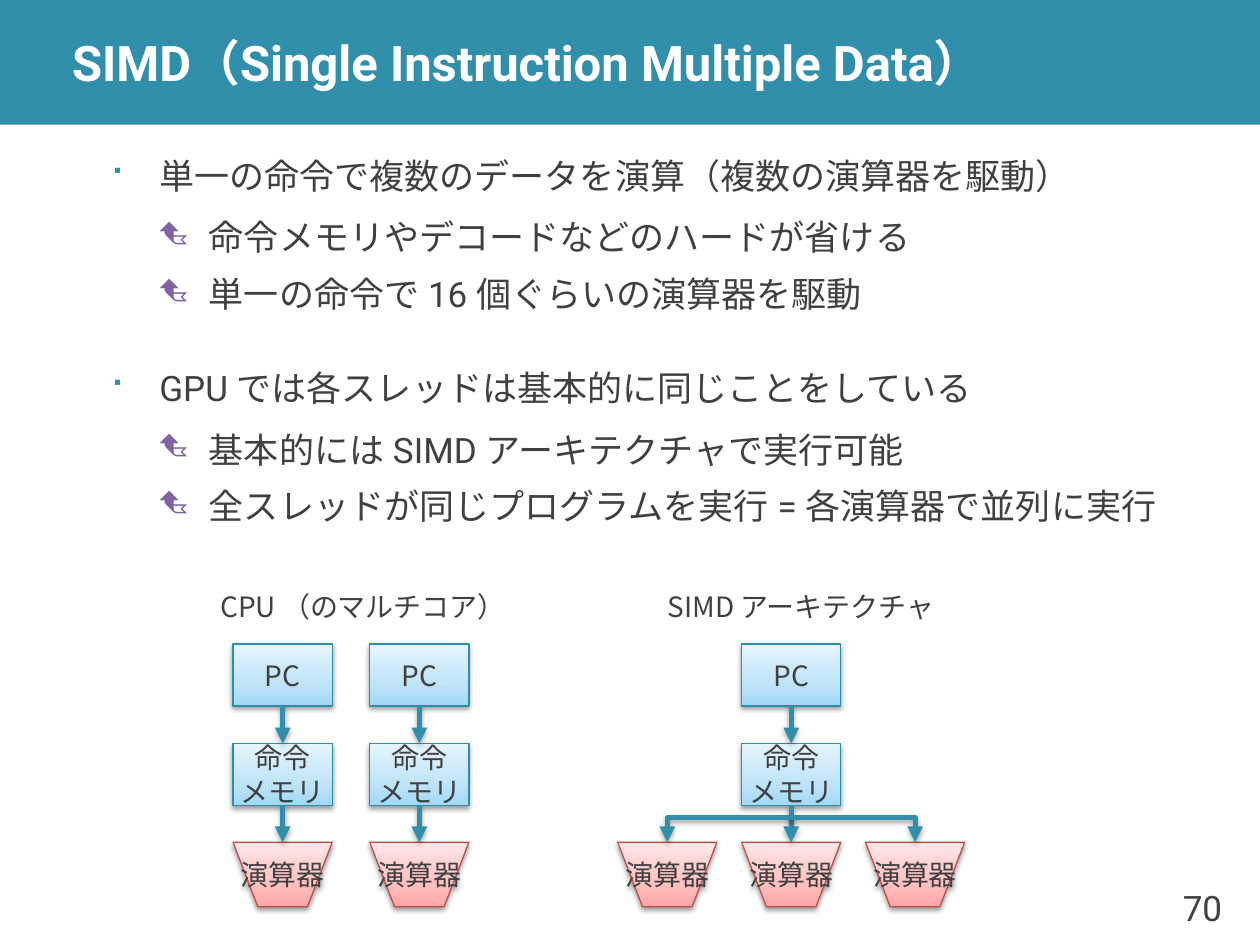
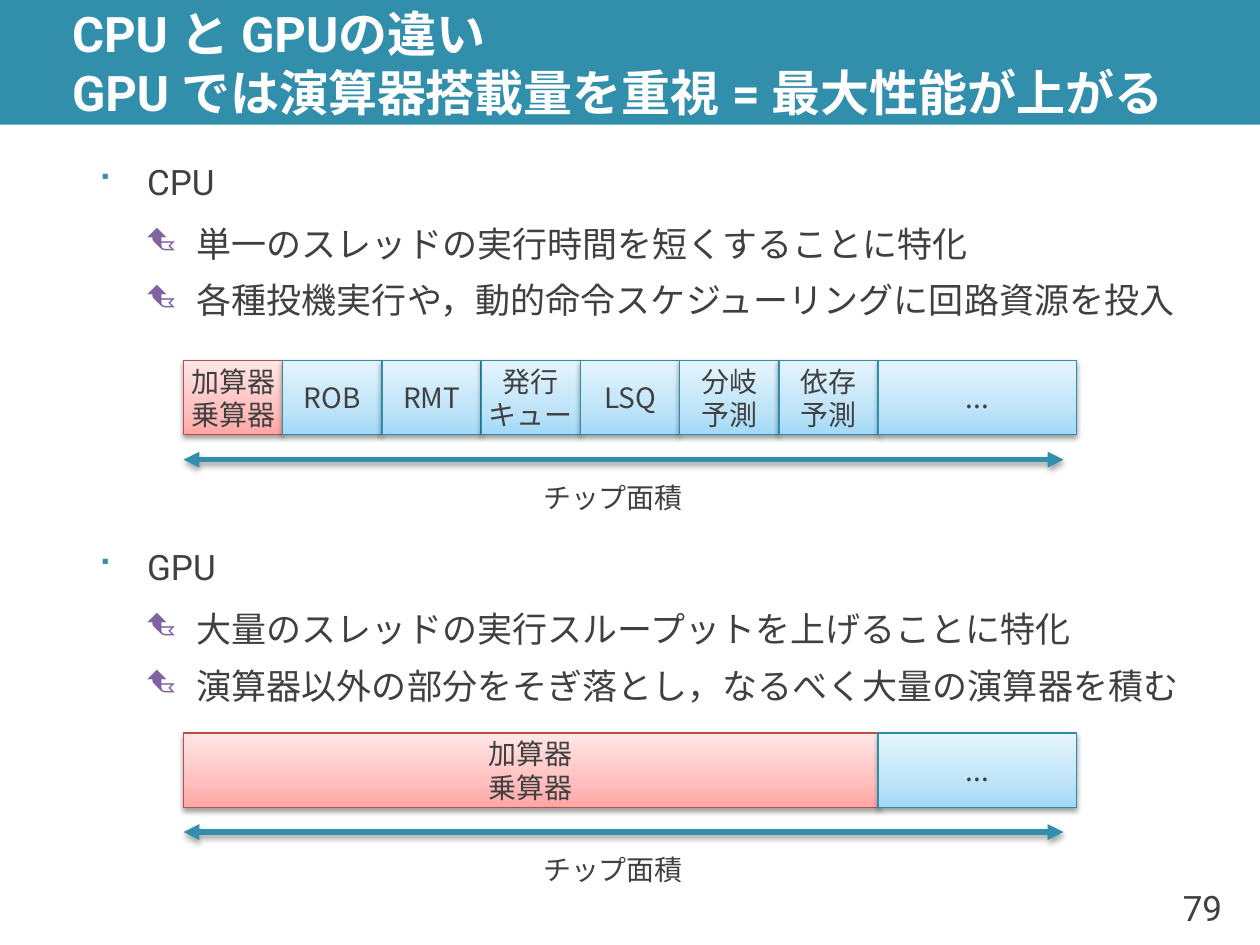
import pptx
import pptx.util
import pptx.dml.color
import pptx.enum.shapes
import pptx.enum.text
import pptx.oxml
import pptx.oxml.ns

Pt = pptx.util.Pt
RGB = pptx.dml.color.RGBColor.from_string
SHAPE = pptx.enum.shapes.MSO_SHAPE
STRAIGHT = pptx.enum.shapes.MSO_CONNECTOR.STRAIGHT
ALIGN = pptx.enum.text.PP_ALIGN
ANCHOR = pptx.enum.text.MSO_ANCHOR
NS = pptx.oxml.ns.nsdecls("a")

THEME = {
    "accent": "328FAC",
    "east_asian": "Roboto",
    "title": {"size": Pt(28), "name": "Roboto", "bold": True, "color": "FFFFFF"},
    "body": {"size": Pt(20), "name": "Roboto", "bold": False, "color": "404040"},
    "label": {"size": Pt(16), "name": "Noto Sans CJK JP", "bold": False, "color": "404040"},
    "blue": {"line": "2E8DAB", "stops": [(0, "A2D9F7"), (35, "BFE4F8"), (100, "E6F5FD")]},
    "red": {"line": "BF4C48", "stops": [(0, "FFA6A5"), (35, "FFC0BF"), (100, "FFE7E7")]},
}
LEVELS = [
    {"before": 24, "after": 6, "indent": 28.35, "bullet": "■", "color": THEME["accent"], "pct": 100},
    {"before": 3, "after": 3, "indent": 56.7, "bullet": "◇", "color": "8064A2", "pct": 90},
]
UNIT = 56.7


def put_text(sp, lines, font, align=ALIGN.LEFT, anchor=ANCHOR.MIDDLE, **frame):
    tf = sp.text_frame
    frame = {"word_wrap": True, "auto_size": pptx.enum.text.MSO_AUTO_SIZE.NONE,
             "vertical_anchor": anchor, **frame}
    for name, value in frame.items():
        setattr(tf, name, value)
    tf.text = "\n".join(lines)
    for p in tf.paragraphs:
        p.alignment = align
        for r in p.runs:
            for name in ("size", "name", "bold"):
                setattr(r.font, name, font[name])
            r.font.color.rgb = RGB(font["color"])
            r.font.language_id = pptx.enum.lang.MSO_LANGUAGE_ID.JAPANESE
            r.font._element.find(pptx.oxml.ns.qn("a:latin")).addnext(
                pptx.oxml.parse_xml(f'<a:ea {NS} typeface="{THEME["east_asian"]}"/>'))


def decorate(sp, color, width, stops=(), arrows=()):
    sp.line.color.rgb = RGB(color)
    sp.line.width = Pt(width)
    for end in arrows:
        sp.line._get_or_add_ln().append(
            pptx.oxml.parse_xml(f'<a:{end} {NS} type="triangle"/>'))
    if stops:
        sp.fill.background()
        gs = "".join(f'<a:gs pos="{pos * 1000}"><a:srgbClr val="{c}"/></a:gs>' for pos, c in stops)
        no_fill = sp._element.spPr.find(pptx.oxml.ns.qn("a:noFill"))
        no_fill.getparent().replace(no_fill, pptx.oxml.parse_xml(
            f'<a:gradFill {NS} rotWithShape="1"><a:gsLst>{gs}</a:gsLst>'
            '<a:lin ang="16200000" scaled="0"/></a:gradFill>'))
    alpha = 38 if stops else 35
    sp._element.spPr.append(pptx.oxml.parse_xml(
        f'<a:effectLst {NS}><a:outerShdw blurRad="{Pt(3.1)}" dist="{Pt(1.7)}" dir="5400000" '
        f'rotWithShape="0"><a:srgbClr val="000000"><a:alpha val="{alpha * 1000}"/>'
        '</a:srgbClr></a:outerShdw></a:effectLst>'))


prs = pptx.Presentation()
prs.slide_width, prs.slide_height = Pt(720), Pt(540)
layout = prs.slide_layouts[1]

pages = [
    {"number": "70", "title": "SIMD（Single Instruction Multiple Data）",
     "body_at": (55.5, 82, 652, 230), "section_gap": 24,
     "body": [(0, "単一の命令で複数のデータを演算（複数の演算器を駆動）"),
              (1, "命令メモリやデコードなどのハードが省ける"),
              (1, "単一の命令で 16 個ぐらいの演算器を駆動"),
              (0, "GPU では各スレッドは基本的に同じことをしている"),
              (1, "基本的には SIMD アーキテクチャで実行可能"),
              (1, "全スレッドが同じプログラムを実行 = 各演算器で並列に実行")]},
    {"number": "79", "title": "CPU と GPUの違い\vGPU では演算器搭載量を重視 = 最大性能が上がる",
     "body_at": (48.5, 85.5, 652, 411), "section_gap": 123,
     "body": [(0, "CPU"),
              (1, "単一のスレッドの実行時間を短くすることに特化"),
              (1, "各種投機実行や，動的命令スケジューリングに回路資源を投入"),
              (0, "GPU"),
              (1, "大量のスレッドの実行スループットを上げることに特化"),
              (1, "演算器以外の部分をそぎ落とし，なるべく大量の演算器を積む")]},
]

slides = []
for page in pages:
    slide = prs.slides.add_slide(layout)
    slides.append(slide)
    title, body = slide.placeholders
    for sp, box in ((title, (34, 0, 686, 71)), (body, page["body_at"])):
        sp.left, sp.top, sp.width, sp.height = map(Pt, box)
    put_text(title, [page["title"]], THEME["title"], margin_top=0, margin_bottom=0)
    put_text(body, [text for _, text in page["body"]], THEME["body"], anchor=ANCHOR.TOP)
    for i, (p, (level, _)) in enumerate(zip(body.text_frame.paragraphs, page["body"])):
        f = LEVELS[level]
        before = f["before"] if level else page["section_gap"] if i else 0
        for name, value in {"level": level, "line_spacing": 1.1, "space_before": Pt(before),
                            "space_after": Pt(f["after"])}.items():
            setattr(p, name, value)
        pPr = p._p.get_or_add_pPr()
        pPr.set("marL", str(Pt(f["indent"])))
        pPr.set("indent", str(Pt(-28.35)))
        for xml in (f'<a:buClr {NS}><a:srgbClr val="{f["color"]}"/></a:buClr>',
                    f'<a:buSzPct {NS} val="{f["pct"] * 1000}"/>',
                    f'<a:buFont {NS} typeface="Wingdings"/>',
                    f'<a:buChar {NS} char="{f["bullet"]}"/>'):
            pPr.append(pptx.oxml.parse_xml(xml))
    sp = slide.shapes.add_textbox(Pt(657.5), Pt(497), Pt(48), Pt(43))
    put_text(sp, [page["number"]], THEME["body"], ALIGN.RIGHT)

simd, compare = slides

band = simd.shapes.add_shape(SHAPE.RECTANGLE, 0, 0, prs.slide_width, Pt(71.3))
band.shadow.inherit = False
band.fill.solid()
band.fill.fore_color.rgb = RGB(THEME["accent"])
band.line.fill.background()
layout.shapes._spTree.insert(2, band._element)

pc_top, memory_top, unit_top = 368, 424.8, 481.3
box_h, unit_h, notch = 35.4, 36.9, 14.2
shapes = simd.shapes

for x in (133.2, 211.3, 353, 423.8, 494.6):
    fb = shapes.build_freeform(Pt(x), Pt(unit_top))
    fb.add_line_segments([(Pt(x + UNIT), Pt(unit_top)),
                          (Pt(x + UNIT - notch), Pt(unit_top + unit_h)),
                          (Pt(x + notch), Pt(unit_top + unit_h))], close=True)
    sp = fb.convert_to_shape()
    decorate(sp, THEME["red"]["line"], 0.75, THEME["red"]["stops"])
    put_text(sp, ["演算器"], THEME["label"], ALIGN.CENTER, word_wrap=False)

for x in (133.2, 211.3, 423.8):
    stack = []
    for top, lines in ((pc_top, ["PC"]), (memory_top, ["命令", "メモリ"])):
        sp = shapes.add_shape(SHAPE.RECTANGLE, Pt(x), Pt(top), Pt(UNIT), Pt(box_h))
        decorate(sp, THEME["blue"]["line"], 0.75, THEME["blue"]["stops"])
        put_text(sp, lines, THEME["label"], ALIGN.CENTER, word_wrap=False)
        stack.append(sp)
    pc, memory = stack
    mid = Pt(x + UNIT / 2)
    for source, target, end in ((pc, memory, memory_top), (memory, None, unit_top)):
        cx = shapes.add_connector(STRAIGHT, mid, source.top + source.height, mid, Pt(end))
        cx.begin_connect(source, 2)
        if target:
            cx.end_connect(target, 0)
        decorate(cx, THEME["accent"], 3, arrows=["tailEnd"])

bus_x, bus_y = 452.15, 467.3
for x in (381.35, 522.95):
    fb = shapes.build_freeform(Pt(bus_x), Pt(bus_y))
    fb.add_line_segments([(Pt(x), Pt(bus_y)), (Pt(x), Pt(unit_top))], close=False)
    sp = fb.convert_to_shape()
    sp.fill.background()
    decorate(sp, THEME["accent"], 3, arrows=["tailEnd"])

for x, text in ((118.8, "CPU （のマルチコア）"), (374.4, "SIMD アーキテクチャ")):
    sp = shapes.add_textbox(Pt(x), Pt(332.6), Pt(190), Pt(28))
    put_text(sp, [text], THEME["label"])

chip_left, chip_h = 104.9, 42.5
chips = [
    (206, [(1, "red", ["加算器", "乗算器"]), (1, "blue", ["ROB"]), (1, "blue", ["RMT"]),
           (1, "blue", ["発行", "キュー"]), (1, "blue", ["LSQ"]), (1, "blue", ["分岐", "予測"]),
           (1, "blue", ["依存", "予測"]), (2, "blue", ["..."])]),
    (418.8, [(7, "red", ["加算器", "乗算器"]), (2, "blue", ["..."])]),
]
for top, blocks in chips:
    x = chip_left
    for span, tone, lines in blocks:
        sp = compare.shapes.add_shape(SHAPE.RECTANGLE, Pt(x), Pt(top), Pt(span * UNIT), Pt(chip_h))
        decorate(sp, THEME[tone]["line"], 0.75, THEME[tone]["stops"])
        put_text(sp, lines, THEME["label"], ALIGN.CENTER, word_wrap=False)
        x += span * UNIT
    y = Pt(top + UNIT)
    cx = compare.shapes.add_connector(STRAIGHT, Pt(chip_left), y, Pt(607.7), y)
    decorate(cx, THEME["accent"], 3, arrows=["headEnd", "tailEnd"])
    sp = compare.shapes.add_textbox(Pt(303.3), Pt(top + 64), Pt(110), Pt(28))
    put_text(sp, ["チップ面積"], THEME["label"])

prs.save("out.pptx")
